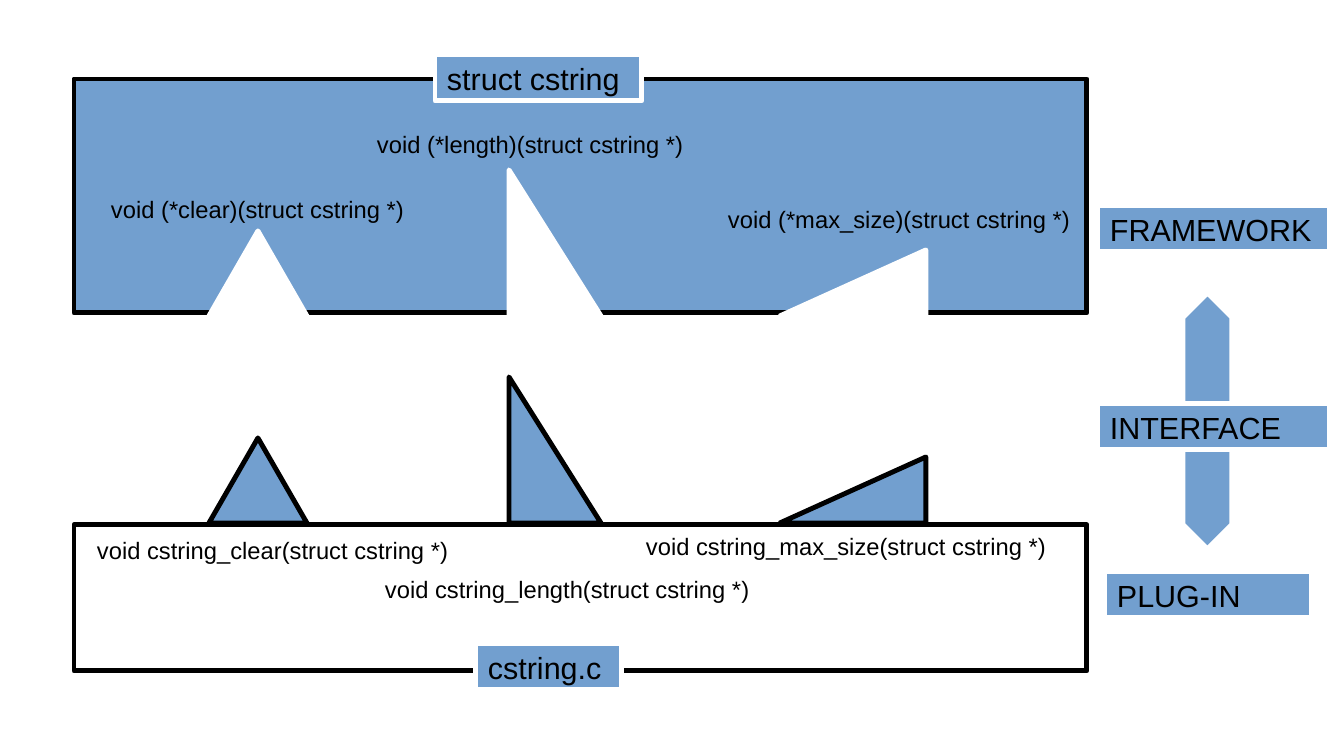
import pptx
import pptx.dml.color
import pptx.enum.shapes
import pptx.enum.text
import pptx.util

BLACK = pptx.dml.color.RGBColor(0x00, 0x00, 0x00)
WHITE = pptx.dml.color.RGBColor(0xFF, 0xFF, 0xFF)
BLUE = pptx.dml.color.RGBColor(0x72, 0x9F, 0xCF)
PRESET = pptx.enum.shapes.MSO_SHAPE
ANCHOR = pptx.enum.text.MSO_ANCHOR
AUTO_SIZE = pptx.enum.text.MSO_AUTO_SIZE
BLANK_LAYOUT = 6
EMU_PER_PX = 914400 / 122


def emu(*lengths):
    return [pptx.util.Emu(round(length * EMU_PER_PX)) for length in lengths]


class Diagram:
    font_name = "Arial"
    line_width = pptx.util.Pt(2.89)
    label_height = 46
    caption_height = 81
    margins = {"margin_left": 12, "margin_right": 12, "margin_top": 6, "margin_bottom": 6}

    def __init__(self, slide):
        self.slide = slide

    def shape(self, preset, box, fill, line, flipped=False):
        shape = self.slide.shapes.add_shape(preset, *emu(*box))
        shape.shadow.inherit = False
        shape.fill.solid()
        shape.fill.fore_color.rgb = fill
        shape.line.color.rgb = line
        shape.line.width = self.line_width
        if flipped:
            shape.element.spPr.xfrm.set("flipH", "1")
        return shape

    def set_text(self, shape, text, size, frame_format):
        frame = shape.text_frame
        margins = {name: emu(px)[0] for name, px in self.margins.items()}
        for name, value in {**margins, "word_wrap": True, **frame_format}.items():
            setattr(frame, name, value)
        paragraph = frame.paragraphs[0]
        paragraph.text = text
        paragraph.alignment = pptx.enum.text.PP_ALIGN.LEFT
        font_format = {"name": self.font_name, "size": pptx.util.Pt(size)}
        for name, value in font_format.items():
            setattr(paragraph.font, name, value)
        paragraph.font.color.rgb = BLACK

    def label(self, text, left, top, width):
        shape = self.shape(PRESET.RECTANGLE, (left, top, width, self.label_height), BLUE, WHITE)
        self.set_text(shape, text, 18, {"vertical_anchor": ANCHOR.MIDDLE})

    def caption(self, text, left, top, width):
        shape = self.slide.shapes.add_textbox(*emu(left, top, width, self.caption_height))
        self.set_text(shape, text, 14, {
            "vertical_anchor": ANCHOR.TOP,
            "auto_size": AUTO_SIZE.SHAPE_TO_FIT_TEXT,
        })

    def triangles(self, bottom, fill, line):
        for preset, left, width, height, flipped in (
            (PRESET.ISOSCELES_TRIANGLE, 209, 98, 85, False),
            (PRESET.RIGHT_TRIANGLE, 509, 92, 146, False),
            (PRESET.RIGHT_TRIANGLE, 780, 146, 66, True),
        ):
            self.shape(preset, (left, bottom - height, width, height), fill, line, flipped)

    def double_arrow(self, box, adjustments):
        shape = self.shape(PRESET.UP_DOWN_ARROW, box, BLUE, WHITE)
        for index, value in enumerate(adjustments):
            shape.adjustments[index] = value


def main():
    presentation = pptx.Presentation()
    presentation.slide_width, presentation.slide_height = emu(1344, 756)
    slide = presentation.slides.add_slide(presentation.slide_layouts[BLANK_LAYOUT])
    diagram = Diagram(slide)

    diagram.shape(PRESET.RECTANGLE, (74, 79, 1013, 234), BLUE, BLACK)
    diagram.triangles(316, WHITE, WHITE)
    diagram.shape(PRESET.RECTANGLE, (74, 525, 1013, 146), WHITE, BLACK)
    diagram.triangles(523, BLUE, BLACK)

    for caption in (
        ("void (*clear)(struct cstring *)", 99, 189, 329),
        ("void (*length)(struct cstring *)", 365, 124, 368),
        ("void (*max_size)(struct cstring *)", 716, 199, 368),
        ("void cstring_clear(struct cstring *)", 85, 530, 390),
        ("void cstring_length(struct cstring *)", 373, 569, 390),
        ("void cstring_max_size(struct cstring *)", 634, 526, 432),
    ):
        diagram.caption(*caption)

    diagram.double_arrow((1183, 293, 49, 256), (0.5, 1.04))
    for label in (
        ("struct cstring", 435, 55, 207),
        ("cstring.c", 476, 644, 146),
        ("FRAMEWORK", 1098, 206, 232),
        ("INTERFACE", 1098, 404, 232),
        ("PLUG-IN", 1105, 572, 207),
    ):
        diagram.label(*label)

    presentation.save("out.pptx")


if __name__ == "__main__":
    main()
